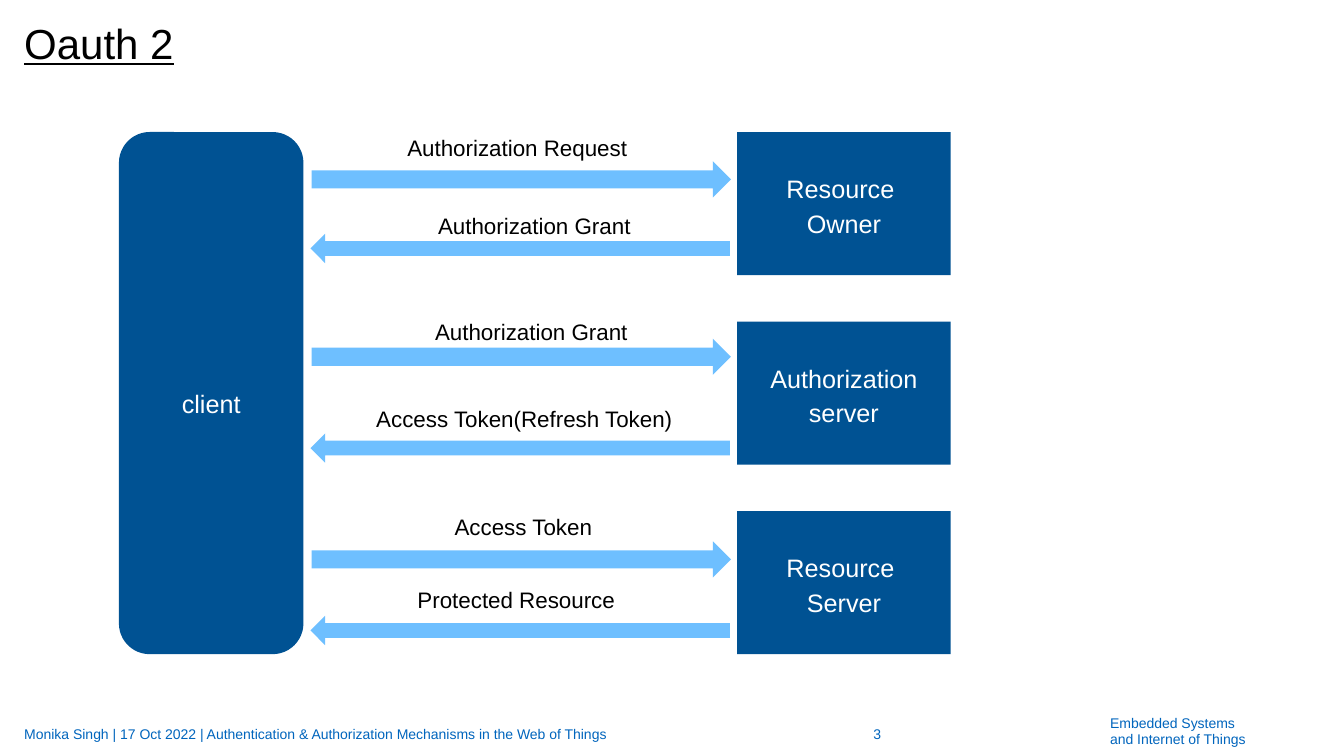
from pptx import Presentation
from pptx.dml.color import RGBColor as Color
from pptx.enum.shapes import MSO_SHAPE as Preset
from pptx.enum.text import MSO_ANCHOR as Anchor, PP_ALIGN as Align
from pptx.util import Inches, Pt

THEME = {
    "font": "Arial",
    "box": Color.from_string("005293"),
    "arrow": Color.from_string("6EBFFF"),
    "footer": Color.from_string("0065BD"),
    "black": Color.from_string("000000"),
    "white": Color.from_string("FFFFFF"),
    "title_size": Pt(30),
    "box_size": Pt(18),
    "label_size": Pt(16),
    "footer_size": Pt(10),
}

presentation = Presentation()
presentation.slide_width, presentation.slide_height = Inches(13.33), Inches(7.5)
slide = presentation.slides.add_slide(presentation.slide_layouts[6])

# Columns and rows of the diagram, in inches
MARGIN = 0.24
CLIENT_LEFT, CLIENT_WIDTH = 1.18, 1.83
ARROW_LEFT, ARROW_WIDTH = 3.09, 4.16
SERVER_LEFT, SERVER_WIDTH = 7.31, 2.12
TOP, ROW_PITCH, SERVER_HEIGHT = 1.31, 1.88, 1.42
REQUEST_HEIGHT, RESPONSE_HEIGHT = 0.36, 0.29
LABEL_WIDTH, LABEL_HEIGHT = 4.08, 0.29
FOOTER_TOP, FOOTER_HEIGHT = 7.08, 0.4


def write(shape, lines, size, color, align=Align.LEFT, anchor=Anchor.TOP, spacing=1.0, inset=0):
    """Fill a shape with one paragraph per line of text."""
    frame = shape.text_frame
    frame.word_wrap = True
    frame.vertical_anchor = anchor
    frame.margin_left = frame.margin_right = Inches(inset)
    frame.margin_top = frame.margin_bottom = Inches(inset / 2)
    frame.text = lines
    for paragraph in frame.paragraphs:
        paragraph.alignment = align
        paragraph.line_spacing = spacing
        paragraph.font.name = THEME["font"]
        paragraph.font.size = THEME[size]
        paragraph.font.color.rgb = THEME[color]
    return frame


def add_solid(preset, left, top, width, height, color):
    shape = slide.shapes.add_shape(preset, *map(Inches, (left, top, width, height)))
    shape.shadow.inherit = False
    shape.fill.solid()
    shape.fill.fore_color.rgb = THEME[color]
    shape.line.fill.background()
    return shape


# Title
title = slide.shapes.add_textbox(*map(Inches, (MARGIN, 0.23, 12.87, 0.45)))
title_frame = write(title, "Oauth 2", "title_size", "black", spacing=Pt(32))
title_frame.paragraphs[0].font.underline = True

# Client and the three parties it talks to
client = add_solid(Preset.ROUNDED_RECTANGLE, CLIENT_LEFT, TOP, CLIENT_WIDTH,
                   2 * ROW_PITCH + SERVER_HEIGHT, "box")
client_frame = write(client, "client", "box_size", "white", Align.CENTER, Anchor.MIDDLE, 1.14, 0.1)
client_frame.margin_top = Inches(0.22)

for row, name in enumerate(("Resource \nOwner", "Authorization server", "Resource \nServer")):
    server = add_solid(Preset.RECTANGLE, SERVER_LEFT, TOP + row * ROW_PITCH,
                       SERVER_WIDTH, SERVER_HEIGHT, "box")
    write(server, name, "box_size", "white", Align.CENTER, Anchor.MIDDLE, 1.14, 0.1)

# Messages: arrow top, label left, label top, label; requests and responses alternate
messages = (
    (1.6, 3.09, 1.29, "Authorization Request"),
    (2.32, 3.26, 2.07, "Authorization Grant"),
    (3.36, 3.23, 3.12, "Authorization Grant"),
    (4.3, 3.16, 3.98, "Access Token(Refresh Token)"),
    (5.37, 3.15, 5.05, "Access Token"),
    (6.11, 3.08, 5.78, "Protected Resource"),
)
directions = ((Preset.RIGHT_ARROW, REQUEST_HEIGHT), (Preset.LEFT_ARROW, RESPONSE_HEIGHT))
for index, (arrow_top, label_left, label_top, text) in enumerate(messages):
    preset, height = directions[index % 2]
    add_solid(preset, ARROW_LEFT - 0.01 * (index % 2), arrow_top, ARROW_WIDTH, height, "arrow")
    label = slide.shapes.add_textbox(*map(Inches, (label_left, label_top, LABEL_WIDTH, LABEL_HEIGHT)))
    write(label, text, "label_size", "black", Align.CENTER, spacing=1.14)

# Footer: left, top, width, height, alignment, anchor, line spacing, text
footers = (
    (MARGIN, FOOTER_TOP, 7.62, FOOTER_HEIGHT, Align.LEFT, Anchor.MIDDLE, 1.0,
     "Monika Singh | 17 Oct 2022 | Authentication & Authorization Mechanisms in the Web of Things"),
    (8.08, FOOTER_TOP, 1.24, FOOTER_HEIGHT, Align.CENTER, Anchor.MIDDLE, 1.0, "3"),
    (11.01, 7.1, 1.62, 0.32, Align.LEFT, Anchor.TOP, 0.94,
     "Embedded Systems\nand Internet of Things"),
)
for left, top, width, height, align, anchor, spacing, text in footers:
    footer = slide.shapes.add_textbox(*map(Inches, (left, top, width, height)))
    write(footer, text, "footer_size", "footer", align, anchor, spacing)

presentation.save("out.pptx")
